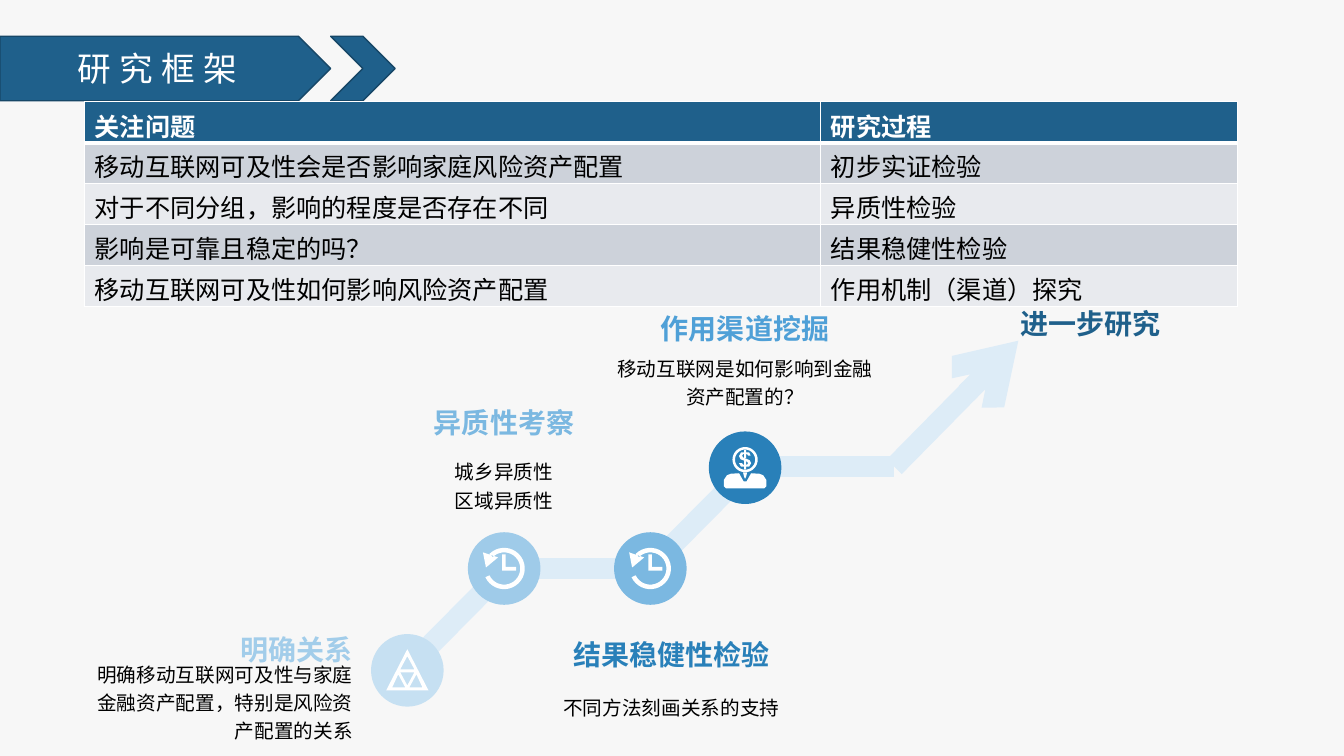
from itertools import pairwise
from math import cos, radians, sin

from lxml import etree
from pptx import Presentation, util as u
from pptx.dml.color import RGBColor
from pptx.enum import shapes, text
from pptx.oxml.ns import qn

deck = Presentation()
deck.slide_width, deck.slide_height = u.Inches(13.33), u.Inches(7.5)
page = deck.slides.add_slide(deck.slide_layouts[6])
grid = u.Inches(0.1)
kind = shapes.MSO_SHAPE
left, mid, right = text.PP_ALIGN.LEFT, text.PP_ALIGN.CENTER, text.PP_ALIGN.RIGHT
white, black, navy, blue, pale, sky = "FFFFFF", "000000", "1F608B", "2980B9", "DDECF7", "7BB8E1"


def paint(part, tone):
    if hasattr(part, "solid"):
        part.solid()
        part = part.fore_color
    part.rgb = RGBColor.from_string(tone)


def write(frame, words, size, tone, side=left, bold=False):
    frame.text = words
    for para in frame.paragraphs:
        para.alignment = side
        for run in para.runs:
            run.font.name, run.font.size, run.font.bold = "Arial", u.Pt(size), bold
            paint(run.font.color, tone)


paint(page.background.fill, "F7F7F7")

for form, x, wide in ((kind.PENTAGON, 0, 32.8), (kind.CHEVRON, 32.8, 6.4)):
    flag = page.shapes.add_shape(form, *[int(n * grid) for n in (x, 3.6, wide, 6.4)])
    flag.shadow.inherit = False
    paint(flag.fill, navy)
    paint(flag.line.fill, "174767")
    flag.line.width = u.Pt(1)
    if form == kind.PENTAGON:
        write(flag.text_frame, "研究框架", 24, white, mid)
        flag.text_frame.vertical_anchor = text.MSO_ANCHOR.MIDDLE
        flag.text_frame.paragraphs[0].runs[0].font._element.set("spc", "600")

bends = [(40.2, 66.5), (50.2, 56.4), (64.4, 56.4), (74.4, 46.3), (88.7, 46.3), (101, 33.8)]
for start, end in pairwise(bends):
    road = page.shapes.add_connector(shapes.MSO_CONNECTOR.STRAIGHT, *[int(n * grid) for n in start + end])
    paint(road.line.fill, pale)
    road.line.width = u.Pt(15)
    etree.SubElement(road._element.spPr, qn("a:effectLst"))
etree.SubElement(road.line._get_or_add_ln(), qn("a:tailEnd"), type="arrow")

disc = [(cos(radians(a)), sin(radians(a))) for a in range(0, 360, 10)]
arc = [(cos(radians(a)), sin(radians(a))) for a in range(-135, 156, 10)]
clock = [
    [(2.05 * x, 2.05 * y) for x, y in arc] + [(1.6 * x, 1.6 * y) for x, y in reversed(arc)],
    [(-2.1, -1.6), (-1.8, -0.1), (-0.6, -1.1)],
    [(-0.2, -1.4), (0.15, -1.4), (0.15, -0.15), (1.2, -0.15), (1.2, 0.2), (-0.2, 0.2)],
]
prism = [
    [(0, -2.1), (-2.1, 2), (2.1, 2)],
    [(0, -1.4), (0.7, -0.1), (-0.7, -0.1)],
    [(-1.5, 1.7), (-0.9, 0.4), (-0.2, 1.7)],
    [(-0.7, 0.2), (0.7, 0.2), (0, 1.5)],
    [(0.9, 0.4), (1.5, 1.7), (0.2, 1.7)],
]
bust = [(-1.9, 2.05), (-2.1, 1.85), (-2.1, 1.2), (-1.8, 0.75), (-1.4, 0.6), (-0.6, 0.55), (-0.15, 1.35)]
curl = [
    (0.55, -0.4), (0.3, -0.4), (0.2, -0.55), (-0.2, -0.55), (-0.3, -0.4), (-0.2, -0.22), (0.45, 0.05),
    (0.6, 0.35), (0.4, 0.7), (-0.4, 0.7), (-0.6, 0.35), (-0.3, 0.35), (-0.2, 0.5), (0.2, 0.5),
    (0.3, 0.35), (0.2, 0.2), (-0.45, -0.03), (-0.6, -0.35), (-0.4, -0.72), (0.4, -0.72),
]
bars = [
    [(-0.1, a), (0.1, a), (0.1, b), (-0.1, b)]
    for a, b in ((-0.95, -0.72), (-0.55, -0.18), (0.12, 0.5), (0.7, 0.95))
]
rims = [[(r * x, r * y) for x, y in disc] for r in (1.25, 1)]
coin = [[(x, y - 0.8) for x, y in loop] for loop in rims + [curl] + bars]
coin += [bust + [(-x, y) for x, y in reversed(bust)], [(-0.2, 0.5), (0.2, 0.5), (0.1, 0.9), (0, 1.1), (-0.1, 0.9)]]

for x, y, tone, icon in (
    (40.4, 66.5, "C6E0F2", prism),
    (50, 56.4, "9FCBE9", clock),
    (64.5, 56.4, sky, clock),
    (73.9, 46.4, blue, coin),
):
    badge = page.shapes.add_shape(kind.OVAL, *[int(n * grid) for n in (x - 3.6, y - 3.6, 7.2, 7.2)])
    loops = [[(int((x + a) * grid), int((y + b) * grid)) for a, b in loop] for loop in icon]
    pen = page.shapes.build_freeform(*loops[0][0])
    pen.add_line_segments(loops[0][1:])
    for loop in loops[1:]:
        pen.move_to(*loop[0])
        pen.add_line_segments(loop[1:])
    for part, fill in ((badge, tone), (pen.convert_to_shape(), white)):
        part.shadow.inherit = False
        paint(part.fill, fill)
        part.line.fill.background()

for x, y, side, tone, head, body, tall in (
    (9, 62.7, right, "A2CDEA", "明确关系", "明确移动互联网可及性与家庭金融资产配置，特别是风险资产配置的关系", 5.2),
    (37, 40.2, mid, sky, "异质性考察", "城乡异质性\n区域异质性", 7.2),
    (53.6, 63.2, mid, blue, "结果稳健性检验", "不同方法刻画关系的支持", 5.2),
    (60.9, 30.9, mid, "4FA0D7", "作用渠道挖掘", "移动互联网是如何影响到金融资产配置的？", 5.2),
    (101.2, 30.4, left, navy, "进一步研究", "", 0),
):
    for words, top, high, size, ink in ((head, y, 3.4, 20, tone), (body, y + 4.2, tall, 14, black)):
        if words:
            box = page.shapes.add_textbox(*[int(n * grid) for n in (x, top, 26, high)]).text_frame
            box.margin_left = box.margin_right = box.margin_top = box.margin_bottom = 0
            box.word_wrap = True
            box.vertical_anchor = text.MSO_ANCHOR.MIDDLE
            write(box, words, size, ink, side, size == 20)
            if size == 14:
                for para in box.paragraphs:
                    para.line_spacing = 1.2

rows = (
    ("关注问题", "研究过程"),
    ("移动互联网可及性会是否影响家庭风险资产配置", "初步实证检验"),
    ("对于不同分组，影响的程度是否存在不同", "异质性检验"),
    ("影响是可靠且稳定的吗？", "结果稳健性检验"),
    ("移动互联网可及性如何影响风险资产配置", "作用机制（渠道）探究"),
)
table = page.shapes.add_table(5, 2, *[int(n * grid) for n in (8.4, 10.1, 114.3, 20.3)]).table
for col, wide in zip(table.columns, (73, 41.3)):
    col.width = int(wide * grid)
for r, row in enumerate(rows):
    for c, words in enumerate(row):
        cell = table.cell(r, c)
        paint(cell.fill, ("E8EAEE", "CDD2DA")[r % 2] if r else navy)
        write(cell.text_frame, words, 18, black if r else white, bold=r == 0)
        for i, edge in enumerate("LRTB"):
            thick = 3 if (r, edge) in ((0, "B"), (1, "T")) else 1
            rule = etree.Element(qn("a:ln" + edge), w=str(u.Pt(thick)))
            fill = etree.SubElement(rule, qn("a:solidFill"))
            etree.SubElement(fill, qn("a:srgbClr"), val=white)
            cell._tc.get_or_add_tcPr().insert(i, rule)

deck.save("out.pptx")
